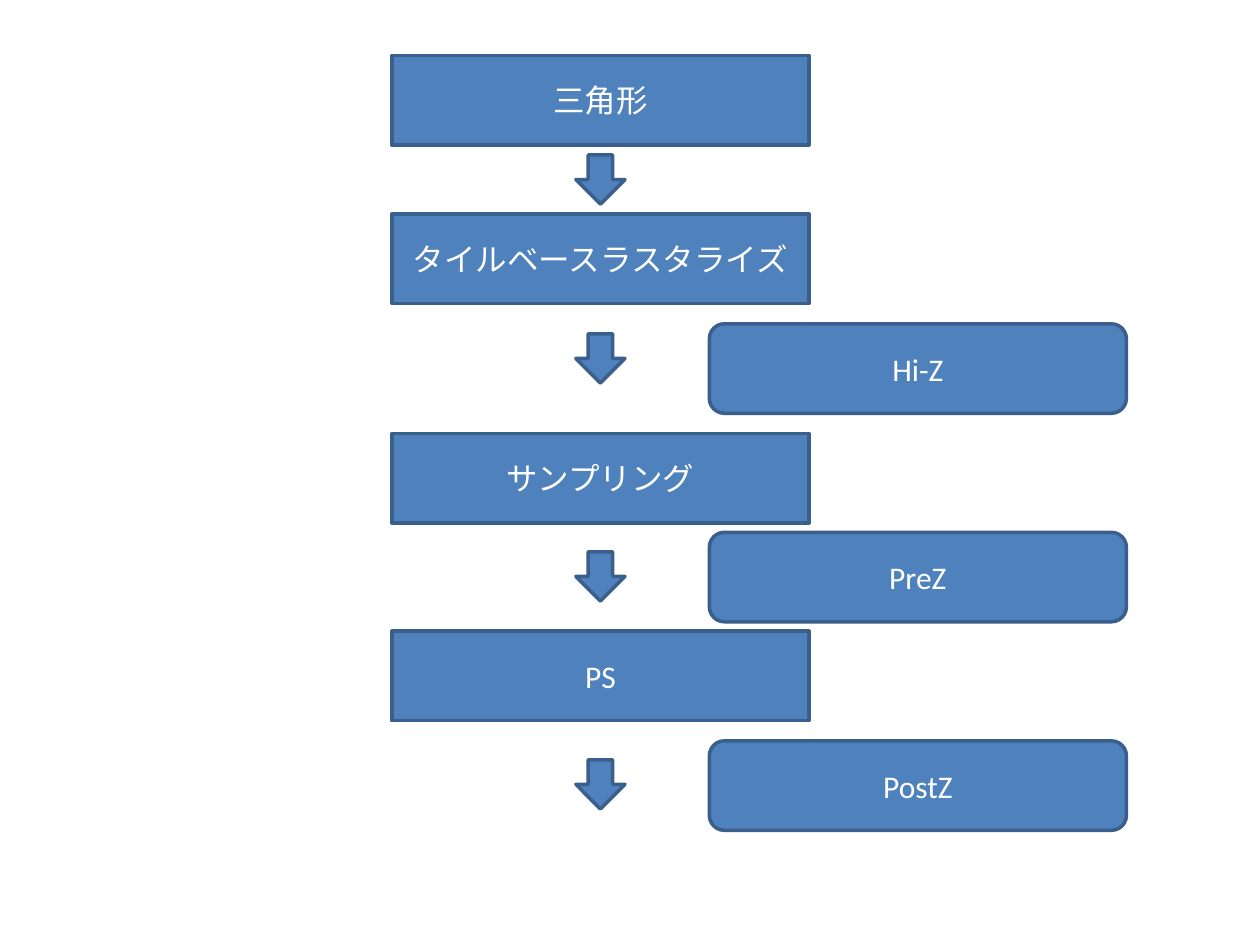
from pptx import Presentation
from pptx.dml.color import RGBColor
from pptx.enum.shapes import MSO_SHAPE
from pptx.enum.text import MSO_ANCHOR, PP_ALIGN
from pptx.util import Inches, Pt

RECTANGLE = MSO_SHAPE.RECTANGLE
ROUNDED = MSO_SHAPE.ROUNDED_RECTANGLE
DOWN_ARROW = MSO_SHAPE.DOWN_ARROW
MIDDLE = MSO_ANCHOR.MIDDLE
CENTER = PP_ALIGN.CENTER

BOX_WIDTH, BOX_HEIGHT = 3.31, 0.71
ARROW_SIZE = 0.39
STAGE_LEFT, DEPTH_TEST_LEFT = 3.11, 5.63
ARROW_LEFT = STAGE_LEFT + (BOX_WIDTH - ARROW_SIZE) / 2


def color(value):
    return RGBColor.from_string(value)


def write(frame, text, font="Calibri", size=18, ink="FFFFFF", align=CENTER):
    frame.word_wrap = True
    frame.vertical_anchor = MIDDLE
    paragraph = frame.paragraphs[0]
    paragraph.alignment = align
    run = paragraph.add_run()
    run.text = text
    run.font.name = font
    run.font.size = Pt(size)
    run.font.color.rgb = color(ink)


class PipelineSlide:
    fill = "4F81BD"
    outline = "3A5F8C"
    outline_width = 2

    def __init__(self, slide):
        self.slide = slide

    def block(self, kind, left, top, width, height):
        block = self.slide.shapes.add_shape(
            kind, Inches(left), Inches(top), Inches(width), Inches(height))
        block.shadow.inherit = False
        block.fill.solid()
        block.fill.fore_color.rgb = color(self.fill)
        block.line.color.rgb = color(self.outline)
        block.line.width = Pt(self.outline_width)
        return block

    def stage(self, text, top):
        block = self.block(RECTANGLE, STAGE_LEFT, top, BOX_WIDTH, BOX_HEIGHT)
        write(block.text_frame, text)

    def depth_test(self, text, top):
        block = self.block(ROUNDED, DEPTH_TEST_LEFT, top, BOX_WIDTH, BOX_HEIGHT)
        write(block.text_frame, text)

    def arrow(self, top):
        self.block(DOWN_ARROW, ARROW_LEFT, top, ARROW_SIZE, ARROW_SIZE)


presentation = Presentation()
presentation.slide_width = Inches(10)
presentation.slide_height = Inches(7.5)
pipeline = PipelineSlide(
    presentation.slides.add_slide(presentation.slide_layouts[6]))

STAGES = [("三角形", 0.44), ("タイルベースラスタライズ", 1.7),
          ("サンプリング", 3.44), ("PS", 5.01)]
DEPTH_TESTS = ["Hi-Z", "PreZ", "PostZ"]
FIRST_TEST_TOP, TEST_STEP = 2.57, 1.655

for name, top in STAGES:
    pipeline.stage(name, top)
for arrow_top in (1.23, 2.65, 4.38, 6.03):
    pipeline.arrow(arrow_top)
for index, name in enumerate(DEPTH_TESTS):
    pipeline.depth_test(name, FIRST_TEST_TOP + index * TEST_STEP)

presentation.save("out.pptx")
